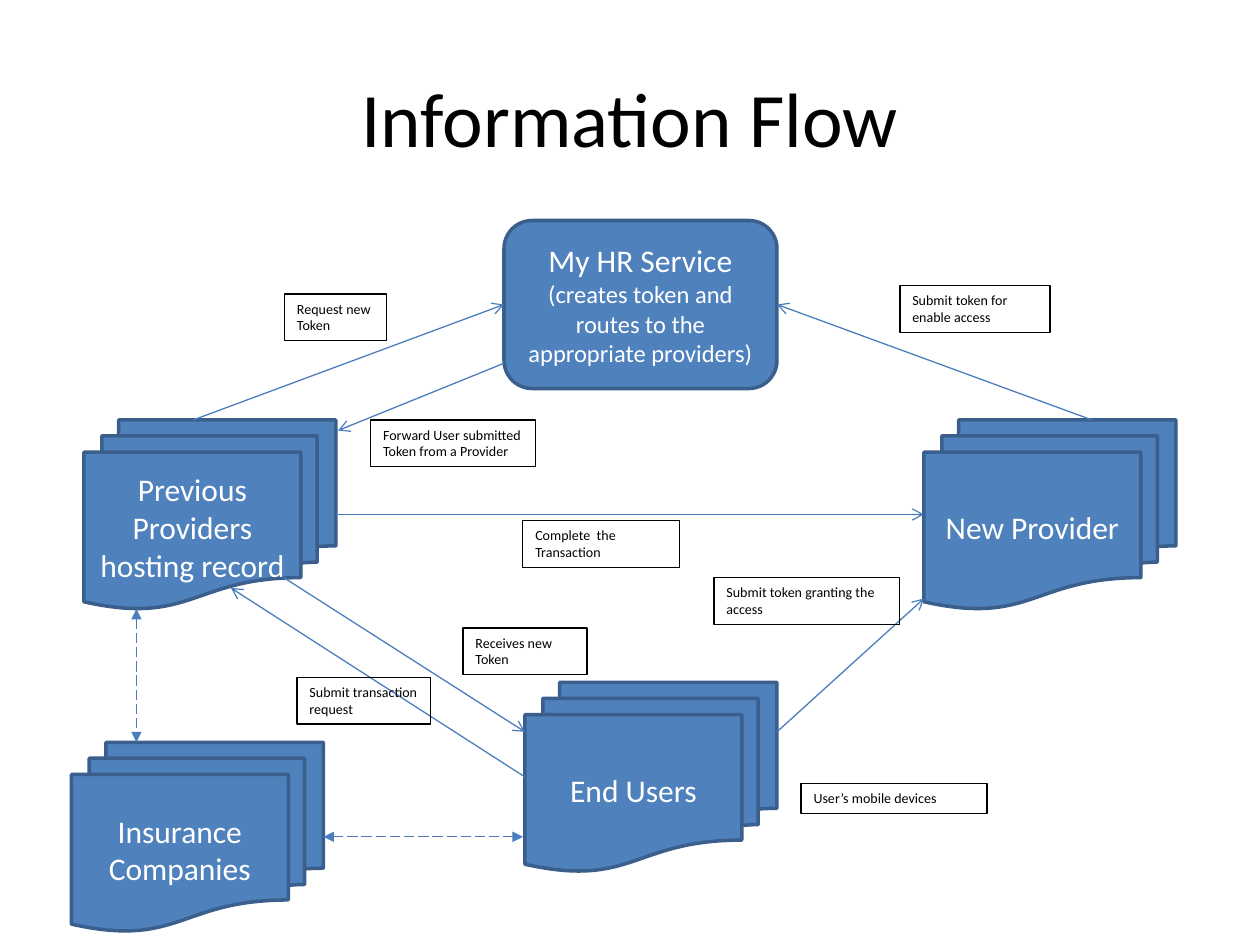
from lxml.etree import SubElement
from pptx import Presentation
from pptx.dml.color import RGBColor
from pptx.enum.dml import MSO_LINE
from pptx.enum.shapes import MSO_CONNECTOR, MSO_SHAPE as SHAPE
from pptx.enum.text import MSO_ANCHOR as ANCHOR, MSO_AUTO_SIZE as AUTO_SIZE, PP_ALIGN as ALIGN
from pptx.oxml.ns import qn
from pptx.util import Inches, Pt

WIDTH, HEIGHT = Inches(10), Inches(7.5)
COLUMNS, ROWS = 120, 90
STACK_SIZE = (24, 18)
LEFT, RIGHT = 1, 3
BLUE, DARK_BLUE, FLOW_BLUE = "4F81BD", "3A5F8C", "4B7EBC"
BLACK, WHITE = "000000", "FFFFFF"


def color(code):
    return RGBColor.from_string(code)


def grid(*values):
    """Turn alternating columns and rows into lengths."""
    cells = (WIDTH / COLUMNS, HEIGHT / ROWS)
    return [int(value * cells[index % 2]) for index, value in enumerate(values)]


def write(box, lines, ink, align=ALIGN.CENTER, anchor=ANCHOR.MIDDLE):
    """Fill a box with (text, size) paragraphs."""
    frame = box.text_frame
    frame.word_wrap = True
    frame.vertical_anchor = anchor
    for index, (text, size) in enumerate(lines):
        para = frame.add_paragraph() if index else frame.paragraphs[0]
        para.text = text
        para.alignment = align
        para.font.name = "Calibri"
        para.font.size = Pt(size)
        para.font.color.rgb = color(ink)


def add_title(page, area, text):
    write(page.shapes.add_textbox(*grid(*area)), [(text, 44)], BLACK)


def add_node(page, kind, area, lines):
    node = page.shapes.add_shape(kind, *grid(*area))
    node.shadow.inherit = False
    node.fill.solid()
    node.fill.fore_color.rgb = color(BLUE)
    node.line.color.rgb = color(DARK_BLUE)
    node.line.width = Pt(2)
    write(node, lines, WHITE)
    return node


def add_stack(page, corner, *texts):
    return add_node(page, SHAPE.FLOWCHART_MULTIDOCUMENT, corner + STACK_SIZE,
                    [(text, 18) for text in texts])


def add_label(page, area, text):
    label = page.shapes.add_textbox(*grid(*area))
    label.line.color.rgb = color(BLACK)
    label.line.width = Pt(0.75)
    write(label, [(text, 8)], BLACK, ALIGN.LEFT, ANCHOR.TOP)
    label.text_frame.auto_size = AUTO_SIZE.SHAPE_TO_FIT_TEXT


def add_flow(page, start, end, source=None, target=None, mutual=False):
    """Draw an arrow; source and target are (shape, side) joints."""
    flow = page.shapes.add_connector(MSO_CONNECTOR.STRAIGHT, *grid(*start, *end))
    if source:
        flow.begin_connect(*source)
    if target:
        flow.end_connect(*target)
    flow.line.color.rgb = color(FLOW_BLUE)
    flow.line.width = Pt(0.75)
    if mutual:
        flow.line.dash_style = MSO_LINE.LONG_DASH
    outline = flow.line._get_or_add_ln()
    heads = {"headEnd": "triangle", "tailEnd": "triangle"} if mutual else {"tailEnd": "arrow"}
    for name, kind in heads.items():
        SubElement(outline, qn(f"a:{name}"), type=kind)
    SubElement(flow._element.spPr, qn("a:effectLst"))


def add_diagram(page):
    previous = add_stack(page, (8, 40), "Previous", "Providers hosting record")
    new_provider = add_stack(page, (88, 40), "New Provider")
    add_stack(page, (50, 65), "End Users")
    insurance = add_stack(page, (6.8, 70.7), "Insurance Companies")
    service = add_node(page, SHAPE.FLOWCHART_ALTERNATE_PROCESS, (48, 21, 26, 16), [
        ("My HR Service", 18),
        ("(creates token and routes to the appropriate providers)", 14),
    ])

    add_flow(page, (27, 55), (50, 69.7))
    add_flow(page, (74, 69.7), (88, 57))
    add_flow(page, (104, 40), (74, 29), target=(service, RIGHT))
    add_flow(page, (50, 74), (22, 56))
    add_flow(page, (32, 49), (88, 49), (previous, RIGHT), (new_provider, LEFT))
    add_flow(page, (18.4, 40), (48, 29), target=(service, LEFT))
    add_flow(page, (48, 34.6), (32.2, 41))
    add_flow(page, (30.8, 79.7), (49.8, 79.7), (insurance, RIGHT), mutual=True)
    add_flow(page, (13, 58), (13, 70.7), mutual=True)

    one_line, two_lines = 2.9, 4.45
    for column, row, width, height, text in [
        (28.3, 64.5, 12.7, two_lines, "Submit transaction request"),
        (27.1, 28, 9.7, two_lines, "Request new Token"),
        (68, 55, 17.7, two_lines, "Submit token granting the access"),
        (85.7, 27.2, 14.3, two_lines, "Submit token for enable access"),
        (49.8, 49.6, 14.9, two_lines, "Complete  the Transaction"),
        (44.1, 59.8, 11.8, two_lines, "Receives new Token"),
        (35.3, 40, 15.7, two_lines, "Forward User submitted Token from a Provider"),
        (76.3, 74.6, 17.7, one_line, "User’s mobile devices"),
    ]:
        add_label(page, (column, row, width, height), text)


def main():
    deck = Presentation()
    deck.slide_width, deck.slide_height = WIDTH, HEIGHT
    page = deck.slides.add_slide(deck.slide_layouts[6])
    add_title(page, (6, 3.6, 108, 15), "Information Flow")
    add_diagram(page)
    deck.save("out.pptx")


if __name__ == "__main__":
    main()
